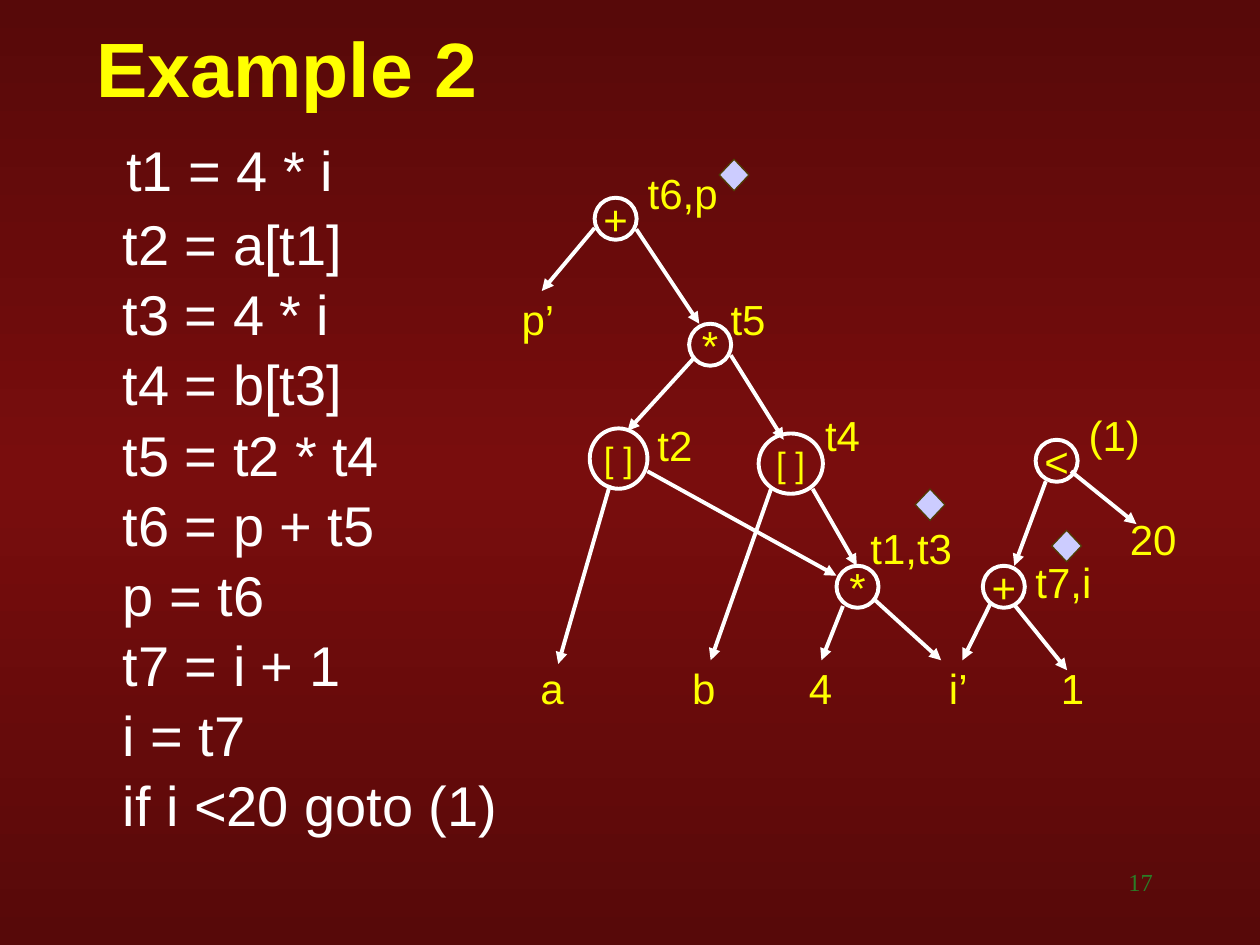
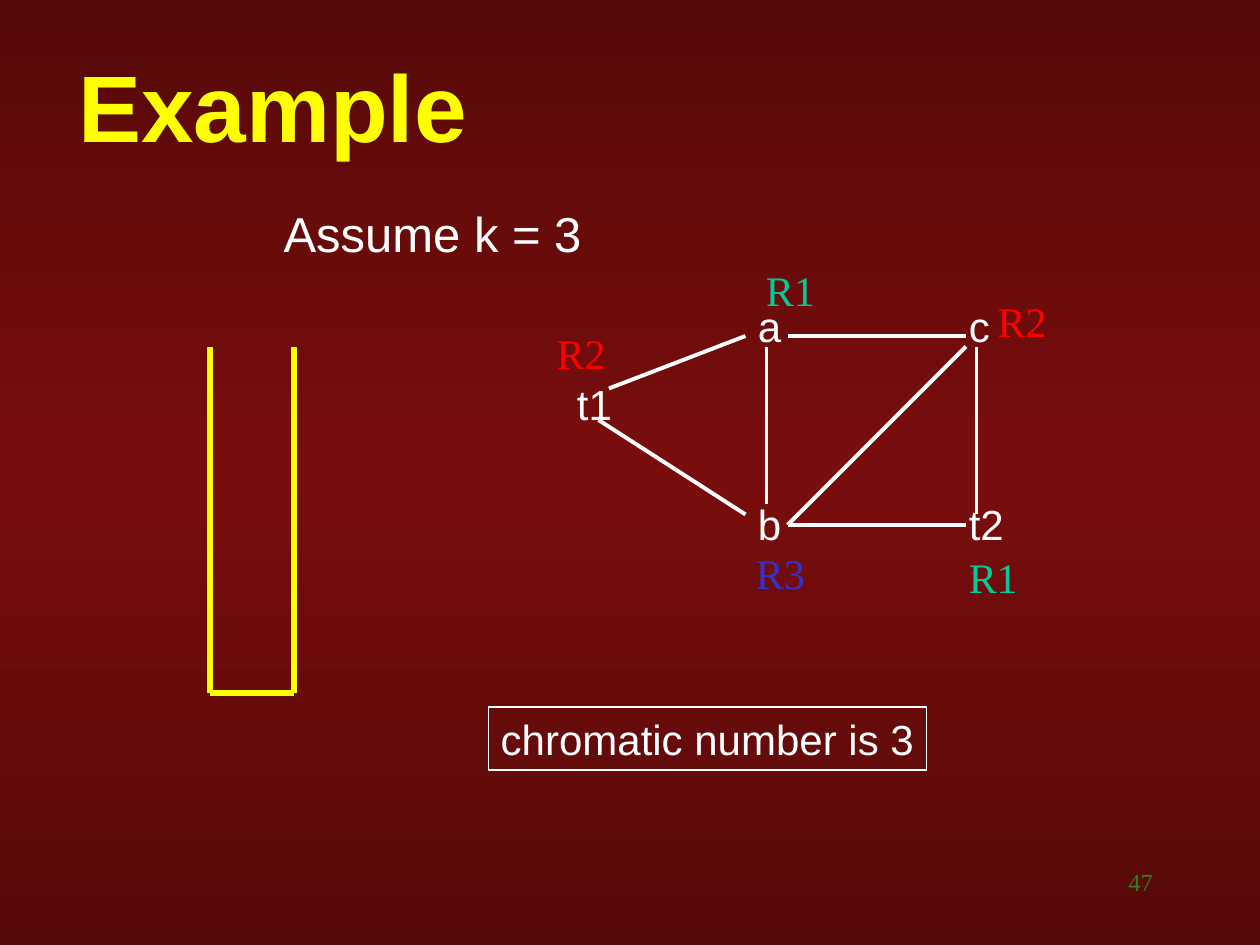
from copy import deepcopy
from lxml import etree
from pptx import Presentation
from pptx import util as u
from pptx.dml.color import RGBColor
from pptx.enum import shapes, text
from pptx.oxml.ns import qn

hue = RGBColor.from_string
Pt = u.Pt
SANS, SERIF = "Arial", "Times New Roman"
WHITE, GOLD = "FFFFFF", "FFFF00"
GREEN, RED, BLUE = "00CC99", "FF0000", "3333CC"
LEFT, MID, RIGHT = text.PP_ALIGN.LEFT, text.PP_ALIGN.CENTER, text.PP_ALIGN.RIGHT
OVAL, GEM = shapes.MSO_SHAPE.OVAL, shapes.MSO_SHAPE.DIAMOND


def write(box, words, tint, size=24, name=SANS, bold=False, align=LEFT, wrap=False):
    frame = box.text_frame
    frame.text = words
    frame.word_wrap = wrap
    frame.auto_size = text.MSO_AUTO_SIZE.NONE
    for para in frame.paragraphs:
        para.alignment = align
        for run in para.runs:
            run.font.color.rgb = hue(tint)
            form = {"size": Pt(size), "name": name, "bold": bold}
            for key, val in form.items():
                setattr(run.font, key, val)


def link(slide, ends, tint=WHITE, width=2.25, arrow=False):
    wire = slide.shapes.add_connector(shapes.MSO_CONNECTOR.STRAIGHT, *map(Pt, ends))
    wire.line.color.rgb = hue(tint)
    wire.line.width = Pt(width)
    etree.SubElement(wire._element.spPr, qn("a:effectLst"))
    if arrow:
        tip = etree.SubElement(wire.line._get_or_add_ln(), qn("a:tailEnd"))
        tip.set("type", "triangle")


deck = Presentation()
deck.slide_width, deck.slide_height = Pt(720), Pt(540)
fill = deck.slide_master.background.fill
fill.gradient()
fill.gradient_angle = 90
first = fill.gradient_stops[0]._gs
first.addnext(deepcopy(first))
for stop, pos, tint in zip(fill.gradient_stops, (0, 0.5, 1), ("570909", "790D0D", "570909")):
    stop.position = pos
    stop.color.rgb = hue(tint)

pages = []
for words, size, spot, page in [
    ("Example 2", 44, (48, -7, 612, 90), "17"),
    ("Example", 54, (37.5, 30, 651, 60), "47"),
]:
    slide = deck.slides.add_slide(deck.slide_layouts[5])
    pages.append(slide)
    head = slide.shapes.title
    for key, val in zip(("left", "top", "width", "height"), spot):
        setattr(head, key, Pt(val))
    write(head, words, GOLD, size, bold=True, wrap=True)
    head.text_frame.vertical_anchor = text.MSO_ANCHOR.MIDDLE
    ink = head.text_frame.paragraphs[0].runs[0]._r.rPr.find(qn("a:solidFill"))
    glow = etree.Element(qn("a:effectLst"))
    cast = etree.SubElement(glow, qn("a:outerShdw"), dist="25400", dir="2700000")
    etree.SubElement(cast, qn("a:srgbClr"), val="C0C0C0")
    ink.addnext(glow)
    foot = slide.shapes.add_textbox(Pt(516), Pt(492), Pt(150), Pt(36))
    write(foot, page, "2B7D27", 14, SERIF, align=RIGHT, wrap=True)

tree, graph = pages

code = [
    "t1 = 4 * i", "t2 = a[t1]", "t3 = 4 * i", "t4 = b[t3]", "t5 = t2 * t4",
    "t6 = p + t5", "p = t6", "t7 = i + 1", "i = t7", "if i <20 goto (1)",
]
body = tree.shapes.add_textbox(Pt(54), Pt(78), Pt(274), Pt(392))
write(body, "\n".join(code), WHITE, 32)
for row, para in enumerate(body.text_frame.paragraphs):
    para._p.get_or_add_pPr().set("marL", str(Pt(9 if row else 11)))
    para.line_spacing = 0.9
    para.space_after = Pt(5.5 if row else 8)

for sign, x, y, wide, high, size in [
    ("+", 561.6, 323.3, 24, 24, 24),
    ("*", 478, 323.3, 24, 24, 24),
    ("<", 591.8, 251.3, 24, 24, 24),
    ("[ ]", 337, 244.8, 33, 34.5, 20),
    ("[ ]", 433.5, 247.7, 36.7, 34.5, 20),
    ("*", 393.8, 185, 24, 24, 24),
    ("+", 339.8, 113, 24, 24, 24),
]:
    node = tree.shapes.add_shape(OVAL, Pt(x), Pt(y), Pt(wide), Pt(high))
    node.shadow.inherit = False
    node.fill.background()
    node.line.color.rgb = hue(WHITE)
    node.line.width = Pt(2.25)
    write(node, sign, GOLD, size, align=MID)
    node.text_frame.vertical_anchor = text.MSO_ANCHOR.MIDDLE

for ends in [
    (363.6, 131, 399.6, 185), (417.6, 203, 447.8, 251.3),
    (396, 205.2, 358.6, 246.2), (348.5, 277.2, 319, 379.4),
    (440.6, 279.4, 406.1, 377.3), (370, 269.3, 478, 329),
    (481.7, 346.3, 469.4, 377.3), (499, 342, 537.8, 377.3),
    (566, 344.9, 550, 377.3), (579.6, 345.6, 609.8, 383),
    (597.6, 275, 579.6, 323.3), (612, 269.3, 649.4, 299.5),
    (464.4, 279.4, 489.6, 323.3), (339.8, 130.3, 309.6, 166.3),
]:
    link(tree, ends, arrow=True)

leaves = [
    (word, x, 375, wide) for word, x, wide in [
        ("a", 301.7, 27.7), ("b", 388.4, 27.7), ("4", 455.1, 27.7),
        ("i’", 535.2, 25), ("1", 599.2, 27.7),
    ]
]
tags = [
    ("p’", 291, 164, 33), ("t6,p", 363, 92, 54), ("t5", 410.4, 164, 34.5),
    ("t2", 368.6, 236, 34.5), ("t4", 464.4, 230.4, 34.5),
    ("t1,t3", 490.3, 295.2, 61), ("t7,i", 584.6, 314.6, 46),
    ("(1)", 615, 230.4, 44), ("20", 638.6, 290, 41),
]
for word, x, y, wide in leaves + tags:
    tag = tree.shapes.add_textbox(Pt(x), Pt(y), Pt(wide), Pt(36))
    write(tag, word, GOLD)

for x, y in [(411, 91), (523, 279.4), (601, 303)]:
    gem = tree.shapes.add_shape(GEM, Pt(x), Pt(y), Pt(17), Pt(18))
    gem.shadow.inherit = False
    gem.fill.solid()
    gem.fill.fore_color.rgb = hue("CCCCFF")
    gem.line.color.rgb = hue("503C04")
    gem.line.width = Pt(0.75)

for word, x, y, wide, tint, name in [
    ("a", 426, 168, 27.7, WHITE, SANS),
    ("b", 426, 281.5, 27.7, WHITE, SANS),
    ("t1", 322.6, 213, 34.5, WHITE, SANS),
    ("c", 546.5, 168, 26, WHITE, SANS),
    ("t2", 546.5, 281.5, 34.5, WHITE, SANS),
    ("R1", 546.5, 311.8, 42.5, GREEN, SERIF),
    ("R2", 563, 165.6, 42.5, RED, SERIF),
    ("R3", 424.8, 309.6, 42.5, BLUE, SERIF),
    ("R1", 430.6, 147.6, 42.5, GREEN, SERIF),
    ("R2", 311, 183.6, 42.5, RED, SERIF),
]:
    tag = graph.shapes.add_textbox(Pt(x), Pt(y), Pt(wide), Pt(36))
    write(tag, word, tint, name=name)

for ends in [
    (348, 222, 426, 192), (450, 192, 552, 192), (552, 198, 450, 300),
    (450, 300, 552, 300), (558, 294, 558, 198), (438, 198, 438, 288),
    (426, 294, 342, 240),
]:
    link(graph, ends)

for ends in [(120, 198, 120, 396), (120, 396, 168, 396), (168, 396, 168, 198)]:
    link(graph, ends, GOLD, 3)

given = graph.shapes.add_textbox(Pt(155), Pt(113), Pt(184), Pt(41))
write(given, "Assume k = 3", WHITE, 28)

note = graph.shapes.add_textbox(Pt(279), Pt(404), Pt(250.5), Pt(36))
write(note, "chromatic number is 3", WHITE)
note.line.color.rgb = hue(WHITE)
note.line.width = Pt(0.75)

deck.save("out.pptx")
